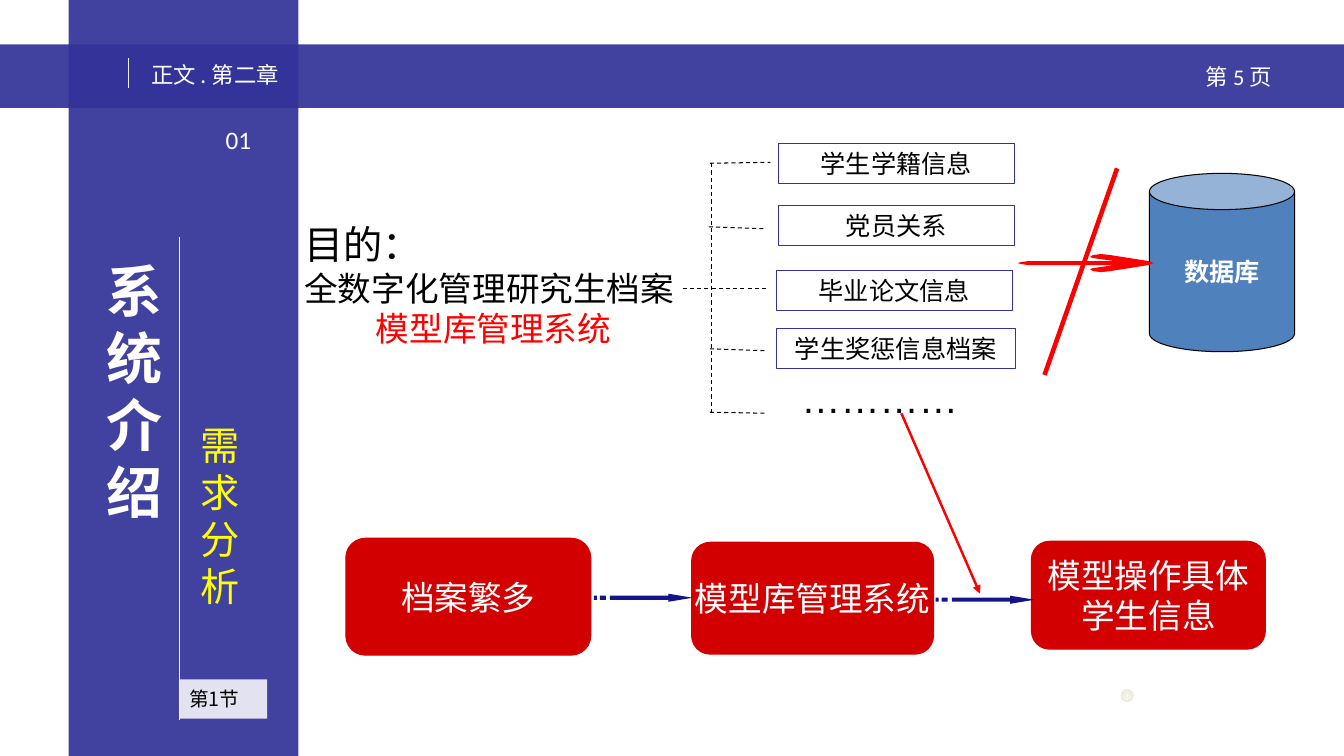
from dataclasses import dataclass

from lxml import etree
from pptx import Presentation
from pptx.dml.color import RGBColor
from pptx.enum.dml import MSO_LINE
from pptx.enum.shapes import MSO_CONNECTOR, MSO_SHAPE as SHAPE
from pptx.enum.text import MSO_ANCHOR as ANCHOR, PP_ALIGN as ALIGN
from pptx.oxml.ns import qn
from pptx.util import Inches, Pt


@dataclass(frozen=True)
class Theme:
    navy: str = "333399"
    arrow_navy: str = "000080"
    red: str = "FF0000"
    box_red: str = "D20000"
    blue: str = "4F81BD"
    yellow: str = "FFFF00"
    white: str = "FFFFFF"
    black: str = "000000"
    pale: str = "F2F2F2"
    pale_green: str = "EAF1DD"
    ivory: str = "EEECE1"
    cjk: str = "Noto Sans CJK SC"
    latin: str = "Arial"
    number: str = "Calibri"
    box_font: str = "Lato"
    title: int = 40
    heading: int = 28
    body: int = 24
    label: int = 18
    header: int = 16
    small: int = 14
    thin: float = 0.75


THEME = Theme()


def rgb(color):
    return RGBColor.from_string(color)


def add_run(paragraph, text, size=THEME.label, color=THEME.black, font=THEME.latin,
            east=THEME.cjk, bold=False):
    run = paragraph.add_run()
    run.text = text
    run.font.size, run.font.bold, run.font.name = Pt(size), bold, font
    run.font.color.rgb = rgb(color)
    east_font = etree.SubElement(run.font._element, qn("a:ea"))
    east_font.set("typeface", east)


def write(shape, lines, align=ALIGN.LEFT, anchor=ANCHOR.TOP, wrap=True, left=0.1,
          right=0.1, **style):
    """Each line is a list of (text, format changes) runs, or a plain string."""
    frame = shape.text_frame
    frame.word_wrap, frame.vertical_anchor = wrap, anchor
    frame.margin_left, frame.margin_right = Inches(left), Inches(right)
    for index, line in enumerate(lines):
        paragraph = frame.add_paragraph() if index else frame.paragraphs[0]
        paragraph.alignment = align
        for text, changes in [(line, {})] if isinstance(line, str) else line:
            add_run(paragraph, text, **{**style, **changes})
    return frame


def add_text(slide, box, lines, **style):
    return write(slide.shapes.add_textbox(*map(Inches, box)), lines, **style)


def paint(shape, fill=None, alpha=None, line=None):
    shape.shadow.inherit = False
    if fill:
        shape.fill.solid()
        shape.fill.fore_color.rgb = rgb(fill)
        if alpha:
            color = next(shape._element.spPr.iter(qn("a:srgbClr")))
            etree.SubElement(color, qn("a:alpha")).set("val", str(alpha * 1000))
    else:
        shape.fill.background()
    if line:
        shape.line.color.rgb = rgb(line)
        shape.line.width = Pt(THEME.thin)
    else:
        shape.line.fill.background()
    return shape


def add_shape(slide, kind, box, **colors):
    return paint(slide.shapes.add_shape(kind, *map(Inches, box)), **colors)


def add_line(slide, start, end, color, width=THEME.thin, dashed=False, arrow=False):
    line = slide.shapes.add_connector(
        MSO_CONNECTOR.STRAIGHT, *map(Inches, (*start, *end)))
    line.line.color.rgb, line.line.width = rgb(color), Pt(width)
    if dashed:
        line.line.dash_style = MSO_LINE.DASH
    if arrow:
        etree.SubElement(line.line._get_or_add_ln(), qn("a:tailEnd")).set("type", "triangle")
    etree.SubElement(line._element.spPr, qn("a:effectLst"))


def add_outline(slide, contours, **colors):
    def points(contour):
        return [(Inches(x), Inches(y)) for x, y in contour]

    builder = slide.shapes.build_freeform(*points(contours[0])[0], scale=1.0)
    for index, contour in enumerate(contours):
        first, *others = points(contour)
        if index:
            builder.move_to(*first)
        builder.add_line_segments(others, close=True)
    paint(builder.convert_to_shape(), **colors)


def add_striped_arrow(slide, left, middle):
    def stripe(start, end):
        return [(left + start, middle - 0.02), (left + start, middle + 0.02),
                (left + end, middle + 0.02), (left + end, middle - 0.02)]

    neck = left + 0.74
    arrow = [(neck, middle - 0.04), (neck, middle - 0.02), (left + 0.16, middle - 0.02),
             (left + 0.16, middle + 0.02), (neck, middle + 0.02), (neck, middle + 0.04),
             (left + 0.98, middle)]
    add_outline(slide, [arrow, stripe(0.06, 0.12), stripe(0, 0.03)],
                fill=THEME.arrow_navy, alpha=92)


def add_ring(slide, diameter, colors):
    left, top = 11.18 - diameter / 2, 6.9 - diameter / 2
    ring = add_shape(slide, SHAPE.DONUT, (left, top, diameter, diameter), line=THEME.ivory)
    ring.fill.gradient()
    ring.fill.gradient_angle = 270
    for stop, color in zip(ring.fill.gradient_stops, colors):
        stop.color.rgb = rgb(color)


def add_header_and_sidebar(slide):
    for box in ((0, 0.44, 13.33, 0.63), (0.68, 0, 2.28, 7.5)):
        add_shape(slide, SHAPE.RECTANGLE, box, fill=THEME.navy, alpha=93)
    add_line(slide, (1.27, 0.58), (1.27, 0.87), THEME.pale_green)
    header = dict(size=THEME.header, color=THEME.white, font=THEME.cjk)
    add_text(slide, (1.4, 0.56, 3.26, 0.37), ["正文 . 第二章"], **header)
    page = [("第 ", {}), ("5 ", {"font": THEME.number}), ("页", {})]
    add_text(slide, (11.86, 0.58, 1.2, 0.4), [page], **header)

    vertical = dict(anchor=ANCHOR.MIDDLE, left=0.16, right=0.08, font=THEME.cjk)
    add_text(slide, (0.9, 2.49, 0.9, 2.77), ["系 统 介 绍"], size=THEME.title,
             color=THEME.white, bold=True, **vertical)
    add_text(slide, (2.14, 1.18, 0.45, 0.4), ["01"], wrap=False, color=THEME.white,
             font=THEME.number)
    add_line(slide, (1.78, 2.35), (1.78, 7.14), THEME.pale)
    section = add_shape(slide, SHAPE.RECTANGLE, (1.78, 6.74, 0.87, 0.39),
                        fill=THEME.white, alpha=85)
    write(section, ["第1节"], anchor=ANCHOR.MIDDLE, size=THEME.small, font=THEME.cjk)
    add_text(slide, (1.83, 4.13, 0.7, 1.97), ["需 求 分 析"], size=THEME.heading,
             color=THEME.yellow, **vertical)


def add_purpose_tree(slide):
    purpose = add_text(slide, (2.92, 2.14, 3.95, 1.37), [
        [("目的：", {"size": THEME.heading})],
        "全数字化管理研究生档案",
        [("模型库管理系统", {"color": THEME.red})],
    ], size=THEME.body)
    purpose.paragraphs[-1].alignment = ALIGN.CENTER

    # Dashed trunk and branches
    for start, end in (((7.06, 1.62), (7.06, 4.1)), ((7.04, 1.62), (7.64, 1.61)),
                       ((7.03, 2.25), (7.59, 2.27)), ((6.77, 2.86), (7.61, 2.86)),
                       ((7.04, 3.46), (7.61, 3.48)), ((7.04, 4.09), (7.61, 4.1))):
        add_line(slide, start, end, THEME.black, dashed=True)

    # Kinds of record
    for text, left, top, width in (("学生学籍信息", 7.72, 1.42, 2.34),
                                   ("党员关系", 7.72, 2.04, 2.34),
                                   ("毕业论文信息", 7.7, 2.68, 2.34),
                                   ("学生奖惩信息档案", 7.7, 3.26, 2.37)):
        record = add_shape(slide, SHAPE.RECTANGLE, (left, top, width, 0.4), line=THEME.navy)
        write(record, [text], align=ALIGN.CENTER)
    add_text(slide, (7.85, 3.66, 2, 0.57), ["…………"], size=THEME.heading, east=THEME.latin)


def add_process(slide):
    centred = dict(align=ALIGN.CENTER, anchor=ANCHOR.MIDDLE, wrap=False, color=THEME.white)
    for box, lines in (((3.43, 5.34, 2.43, 1.16), ["档案繁多"]),
                       ((6.86, 5.38, 2.4, 1.11), ["模型库管理系统"]),
                       ((10.23, 5.37, 2.32, 1.07), ["模型操作具体", "学生信息"])):
        step = add_shape(slide, SHAPE.ROUNDED_RECTANGLE, box, fill=THEME.box_red,
                         line=THEME.box_red)
        write(step, lines, size=THEME.body, font=THEME.box_font, **centred)
    add_striped_arrow(slide, 5.89, 5.93)
    add_striped_arrow(slide, 9.28, 5.95)

    # Database, crossed-out arrow and link to the process
    database = add_shape(slide, SHAPE.CAN, (11.4, 1.72, 1.44, 1.77), fill=THEME.blue,
                         line=THEME.black)
    write(database, ["数据库"], bold=True, **centred)
    upper = [(10.09, 2.61), (10.13, 2.6), (10.2, 2.59), (11.05, 2.59), (10.84, 2.56),
             (10.81, 2.55), (10.84, 2.53), (10.92, 2.52), (11.01, 2.53), (11.39, 2.59)]
    lower = [(x, 2 * 2.61 - y) for x, y in reversed(upper[1:])]
    add_outline(slide, [[*upper, (11.44, 2.61), *lower]], fill=THEME.red)
    add_line(slide, (11.08, 1.67), (10.36, 3.72), THEME.red, width=3.25)
    add_line(slide, (8.94, 4.1), (9.72, 5.89), THEME.red, width=1.75, arrow=True)


def main():
    presentation = Presentation()
    presentation.slide_width, presentation.slide_height = Inches(13.33), Inches(7.5)
    slide = presentation.slides.add_slide(presentation.slide_layouts[6])
    add_header_and_sidebar(slide)
    for diameter, colors in ((0.12, (THEME.ivory, THEME.white)),
                             (0.11, (THEME.white, THEME.ivory)),
                             (0.09, (THEME.ivory, THEME.white))):
        add_ring(slide, diameter, colors)
    add_purpose_tree(slide)
    add_process(slide)
    presentation.save("out.pptx")


if __name__ == "__main__":
    main()
